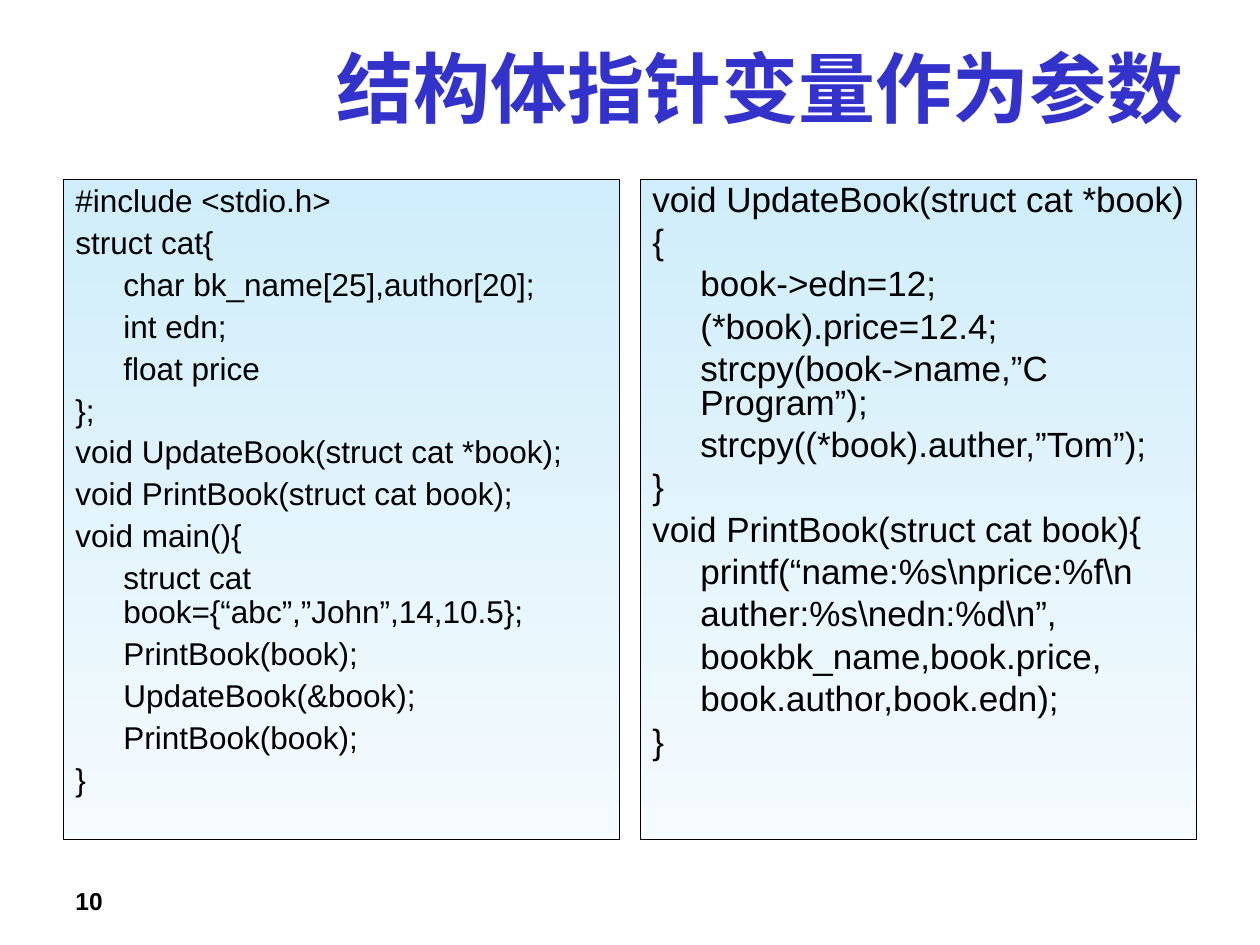
from lxml import etree
from pptx import Presentation, util as u
from pptx.dml.color import RGBColor
from pptx.enum import shapes, text
from pptx.oxml.ns import qn

BLUE = RGBColor(0x33, 0x33, 0xCC)
BLACK = RGBColor(0, 0, 0)
SKY = RGBColor(0xCF, 0xED, 0xFA)
PALE = RGBColor(0xF5, 0xFB, 0xFE)
PX = u.Inches(1) / 126
INDENT = 48


def px(n):
    return u.Emu(round(n * PX))


def write(frame, lines, size, color=BLACK, bold=False, align=text.PP_ALIGN.LEFT,
          anchor=text.MSO_ANCHOR.TOP, space=0, lead=1.0, hang=0):
    """Fill a text frame, one paragraph a line, with a tab stop at each inch."""
    frame.word_wrap = True
    frame.auto_size = text.MSO_AUTO_SIZE.NONE
    frame.vertical_anchor = anchor
    for i, line in enumerate(lines):
        para = frame.add_paragraph() if i else frame.paragraphs[0]
        props = para._p.get_or_add_pPr()
        props.set("marL", str(px(hang)))
        props.set("indent", str(-px(hang)))
        tabs = etree.SubElement(props, qn("a:tabLst"))
        for inch in range(8):
            etree.SubElement(tabs, qn("a:tab"), pos=str(u.Inches(inch)), algn="l")
        para.alignment = align
        para.line_spacing = lead
        para.space_before = u.Pt(space if i else 0)
        run = para.add_run()
        run.text = line
        font = run.font
        font.name, font.size, font.bold = "Arial", u.Pt(size), bold
        font.color.rgb = color


MAIN = [
    "#include <stdio.h>",
    "struct cat{",
    "\tchar bk_name[25],author[20];",
    "\tint edn;",
    "\tfloat price",
    "};",
    "void UpdateBook(struct cat *book);",
    "void PrintBook(struct cat book);",
    "void main(){",
    "\tstruct cat book={“abc”,”John”,14,10.5};",
    "\tPrintBook(book);",
    "\tUpdateBook(&book);",
    "\tPrintBook(book);",
    "}",
]
FUNCS = [
    "void UpdateBook(struct cat *book)",
    "{",
    "\tbook->edn=12;",
    "\t(*book).price=12.4;",
    "\tstrcpy(book->name,”C Program”);",
    "\tstrcpy((*book).auther,”Tom”);",
    "}",
    "void PrintBook(struct cat book){",
    "\tprintf(“name:%s\\nprice:%f\\n",
    "\tauther:%s\\nedn:%d\\n”,",
    "\tbookbk_name,book.price,",
    "\tbook.author,book.edn);",
    "}",
]

deck = Presentation()
deck.slide_width, deck.slide_height = px(1260), px(945)
slide = deck.slides.add_slide(deck.slide_layouts[5])

title = slide.shapes.title
title.left, title.top, title.width, title.height = px(63), px(32), px(1134), px(110)
write(title.text_frame, ["结构体指针变量作为参数"], 44, color=BLUE, bold=True,
      align=text.PP_ALIGN.RIGHT, anchor=text.MSO_ANCHOR.MIDDLE)

for left, code, size, space, lead in ((63, MAIN, 18, 4.5, 0.9), (640, FUNCS, 20, 5, 0.8)):
    box = slide.shapes.add_shape(shapes.MSO_SHAPE.RECTANGLE,
                                 px(left), px(179), px(557), px(661))
    box.shadow.inherit = False
    box.fill.gradient()
    box.fill.gradient_angle = 270
    for stop, color in zip(box.fill.gradient_stops, (SKY, PALE)):
        stop.color.rgb = color
    box.line.color.rgb = BLACK
    box.line.width = u.Pt(0.5)
    write(box.text_frame, code, size, space=space, lead=lead, hang=INDENT)

number = slide.shapes.add_textbox(px(63), px(880), px(294), px(30))
write(number.text_frame, ["10"], 14, bold=True)

deck.save("out.pptx")
